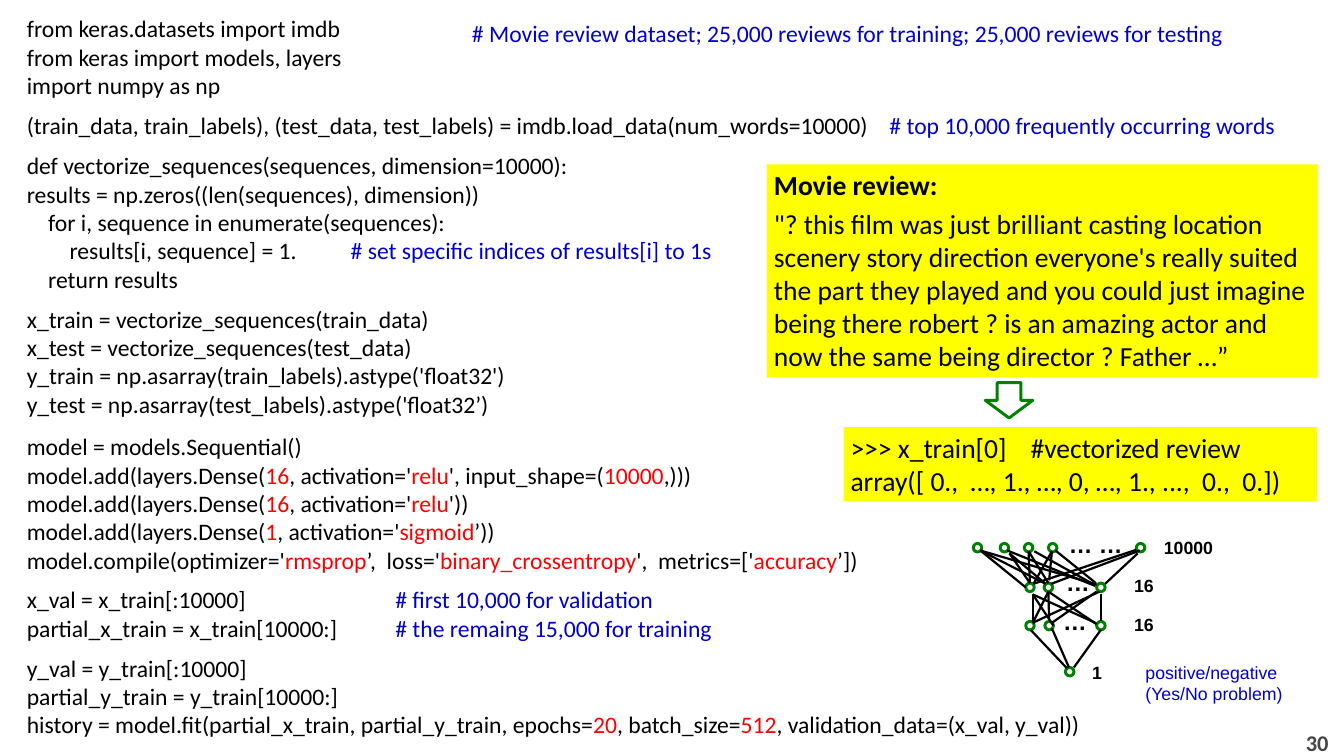
from pptx import Presentation
from pptx.dml.color import RGBColor
from pptx.enum import shapes, text
from pptx.oxml.ns import qn
from pptx.util import Pt
from lxml import etree

PX = 9144  # EMU per px, 100 px to the inch
BLACK, RED, BLUE = "000000", "FF0000", "0000CC"
GREEN, YELLOW, GRAY = "008000", "FFFF00", "454545"

# Content: |...| marks an accent, blue for comments and red for values.
# A line may be (text, paragraph format).
LOAD = [
    "from keras.datasets import imdb",
    "from keras import models, layers",
    "import numpy as np",
    ("(train_data, train_labels), (test_data, test_labels) = imdb.load_data(num_words=10000)"
     "\t|# top 10,000 frequently occurring words|", dict(before=12, tab=1217)),
    ("def vectorize_sequences(sequences, dimension=10000):", dict(before=12)),
    "results = np.zeros((len(sequences), dimension))",
    "    for i, sequence in enumerate(sequences):",
    ("        results[i, sequence] = 1.\t|# set specific indices of results[i] to 1s|",
     dict(tab=457)),
    "    return results",
    ("x_train = vectorize_sequences(train_data)", dict(before=12)),
    "x_test = vectorize_sequences(test_data)",
    "y_train = np.asarray(train_labels).astype('float32')",
    "y_test = np.asarray(test_labels).astype('float32’)",
]
MODEL = [
    "model = models.Sequential()",
    "model.add(layers.Dense(|16|, activation='|relu|', input_shape=(|10000|,)))",
    "model.add(layers.Dense(|16|, activation='|relu|'))",
    "model.add(layers.Dense(|1|, activation='|sigmoid|’))",
    "model.compile(optimizer='|rmsprop|’,  loss='|binary_crossentropy|',  "
    "metrics=['|accuracy|’])",
]
TRAIN = [
    ("x_val = x_train[:10000]\t|# first 10,000 for validation|", dict(tab=520)),
    ("partial_x_train = x_train[10000:]\t|# the remaing 15,000 for training|", dict(tab=520)),
    ("y_val = y_train[:10000]", dict(before=12)),
    "partial_y_train = y_train[10000:]",
    "history = model.fit(partial_x_train, partial_y_train, epochs=|20|, "
    "batch_size=|512|, validation_data=(x_val, y_val))",
]
NOTE = "# Movie review dataset; 25,000 reviews for training; 25,000 reviews for testing"
REVIEW = [
    ("Movie review:", dict(after=6, bold=True)),
    "\"? this film was just brilliant casting location scenery story direction "
    "everyone's really suited the part they played and you could just imagine being "
    "there robert ? is an amazing actor and now the same being director ? Father …”",
]
VECTOR = [
    (">>> x_train[0]\t#vectorized review", dict(tab=254)),
    "array([ 0.,  …, 1., …, 0, …, 1., ...,  0.,  0.])",
]

# Network: node left edges by layer top, and link ends by link start
NODE = 12
LAYERS = {
    767: [1373, 1411, 1445, 1479, 1603],
    823: [1447, 1473, 1547],
    877: [1447, 1474, 1547],
    942: [1503],
}
LINKS = {
    (1383, 777): [(1447, 829), (1475, 824), (1547, 825)],
    (1424, 781): [(1453, 823), (1475, 824)],
    (1421, 777): [(1545, 827)],
    (1451, 778): [(1453, 823), (1479, 823)],
    (1459, 778): [(1545, 826)],
    (1484, 778): [(1480, 819), (1458, 824)],
    (1489, 777): [(1546, 823)],
    (1605, 781): [(1559, 824)],
    (1608, 777): [(1483, 824)],
    (1603, 776): [(1458, 824)],
    (1457, 839): [(1486, 883), (1545, 879), (1457, 879)],
    (1479, 835): [(1457, 879), (1480, 875), (1547, 881)],
    (1553, 838): [(1553, 877)],
    (1547, 835): [(1484, 879)],
    (1551, 835): [(1457, 879)],
    (1454, 889): [(1505, 943)],
    (1484, 887): [(1508, 942)],
    (1553, 889): [(1515, 942)],
}
DOTS = [("… …", 1498, 743), ("…", 1494, 797), ("…", 1490, 851)]
SIZES = [("10000", 1632, 753), ("16", 1590, 807), ("16", 1590, 862), ("1", 1531, 929)]

deck = Presentation()
deck.slide_width, deck.slide_height = 1896 * PX, 1067 * PX
slide = deck.slides.add_slide(deck.slide_layouts[6])
parts = slide.shapes


def rgb(code):
    return RGBColor.from_string(code)


def shape(kind, x, y, w, h, fill=None, line=None):
    item = parts.add_shape(kind, x * PX, y * PX, w * PX, h * PX)
    item.shadow.inherit = False
    if fill:
        item.fill.solid()
        item.fill.fore_color.rgb = rgb(fill)
    else:
        item.fill.background()
    if line:
        item.line.color.rgb = rgb(line)
        item.line.width = Pt(3)
    else:
        item.line.fill.background()
    return item


def add_tab(para, pos):
    stops = etree.SubElement(para._p.get_or_add_pPr(), qn("a:tabLst"))
    etree.SubElement(stops, qn("a:tab"), pos=str(pos * PX), algn="l")


def write(lines, x, y, w, h, size=24, face="Calibri", color=BLACK, bold=False,
          fill=None, align=text.PP_ALIGN.LEFT, anchor=text.MSO_ANCHOR.TOP, bottom=5):
    if fill:
        box = shape(shapes.MSO_SHAPE.RECTANGLE, x, y, w, h, fill)
    else:
        box = parts.add_textbox(x * PX, y * PX, w * PX, h * PX)
    frame = box.text_frame
    frame.word_wrap = True
    frame.vertical_anchor = anchor
    frame.margin_bottom = bottom * PX
    for i, line in enumerate(lines):
        words, form = line if isinstance(line, tuple) else (line, {})
        para = frame.add_paragraph() if i else frame.paragraphs[0]
        para.alignment = align
        if "before" in form:
            para.space_before = Pt(form["before"])
        if "after" in form:
            para.space_after = Pt(form["after"])
        if "tab" in form:
            add_tab(para, form["tab"])
        for j, piece in enumerate(words.split("|")):
            if not piece:
                continue
            run = para.add_run()
            run.text = piece
            accent = BLUE if piece.startswith("#") else RED
            run.font.size, run.font.name = Pt(size), face
            run.font.bold = form.get("bold", bold)
            run.font.color.rgb = rgb(accent if j % 2 else color)


def link(start, end):
    line = parts.add_connector(shapes.MSO_CONNECTOR.STRAIGHT,
                               *(v * PX for v in start + end))
    line.line.color.rgb = rgb(BLACK)
    line.line.width = Pt(2.25)
    etree.SubElement(line._element.spPr, qn("a:effectLst"))


# Code listing
for lines, y, h in [(LOAD, 15, 586), (MODEL, 605, 212), (TRAIN, 821, 229)]:
    write(lines, 28, y, 1820, h)
write([NOTE], 656, 22, 1119, 50, color=BLUE)

# Review and its vector
write(REVIEW, 1082, 232, 777, 301, size=28, fill=YELLOW)
write(VECTOR, 1190, 603, 668, 104, size=28, fill=YELLOW)
shape(shapes.MSO_SHAPE.DOWN_ARROW, 1390, 540, 67, 50, line=GREEN)

# Network
for y, row in LAYERS.items():
    for x in row:
        shape(shapes.MSO_SHAPE.OVAL, x, y, NODE, NODE, line=GREEN)
for dots, x, y in DOTS:
    write([dots], x, y, 150, 50, face="Arial", bold=True)
for start, ends in LINKS.items():
    for end in ends:
        link(start, end)
for label, x, y in SIZES:
    write([label], x, y, 143, 40, size=18, face="Arial", bold=True)
write(["positive/negative", "(Yes/No problem)"], 1606, 929, 262, 71,
      size=18, face="Arial", color=BLUE)

# Page number
write(["30"], 1732, 1024, 152, 43, size=22.8, color=GRAY, bold=True, bottom=0,
      align=text.PP_ALIGN.RIGHT, anchor=text.MSO_ANCHOR.MIDDLE)

deck.save("out.pptx")
